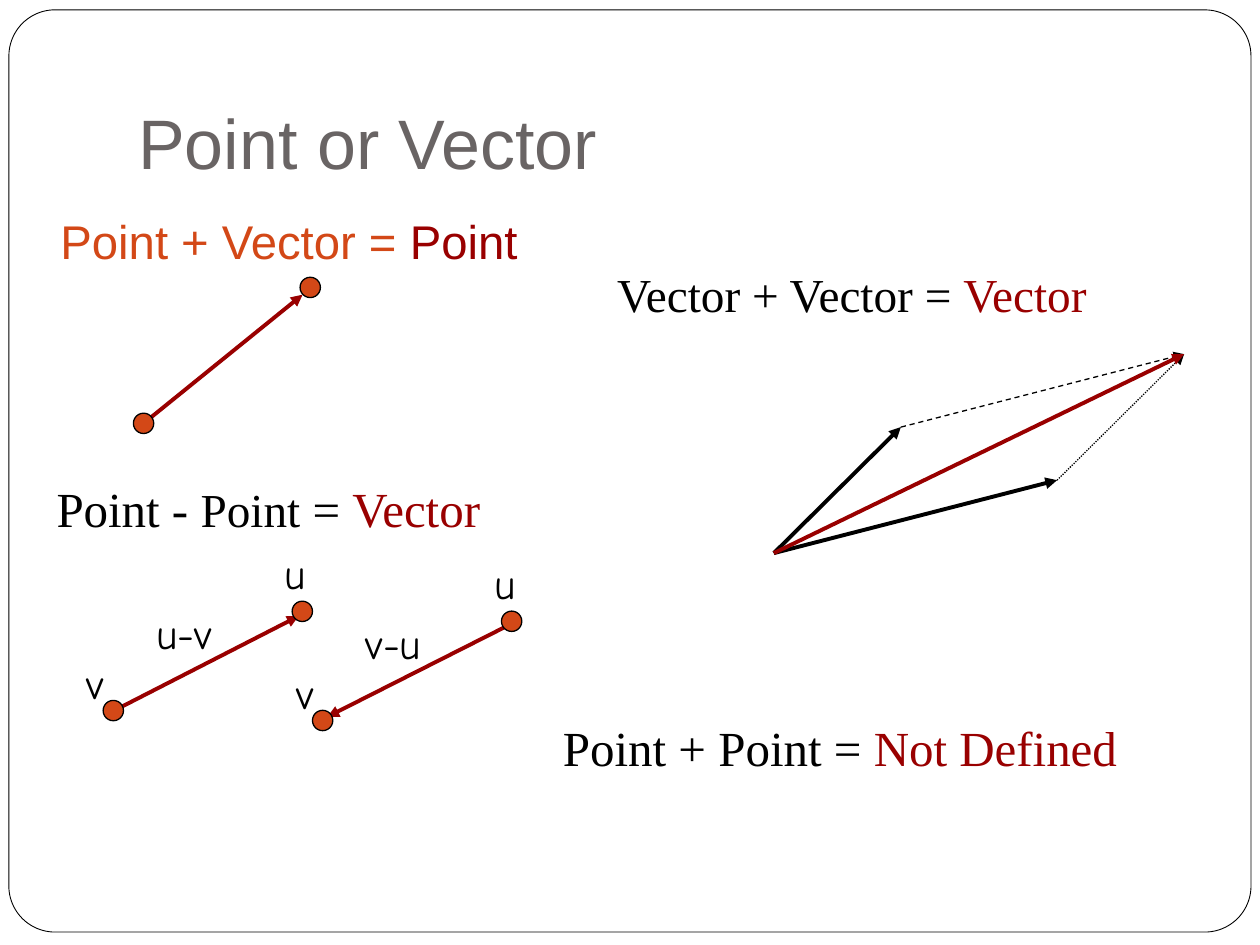
from dataclasses import dataclass
from typing import NamedTuple

from lxml.etree import SubElement
from pptx import Presentation
from pptx.dml.color import RGBColor
from pptx.enum.dml import MSO_LINE
from pptx.enum.shapes import MSO_CONNECTOR, MSO_SHAPE
from pptx.enum.text import MSO_ANCHOR, MSO_AUTO_SIZE
from pptx.oxml.ns import qn
from pptx.util import Cm, Pt


@dataclass(frozen=True)
class Theme:
    black: str = "000000"
    white: str = "FFFFFF"
    gray: str = "696464"
    orange: str = "D34817"
    red: str = "990000"
    sans: str = "Arial"
    serif: str = "Times New Roman"
    hand: str = "Comic Neue"
    title: float = 40
    rule: float = 27
    large: float = 28
    label: float = 24
    thick: float = 2.25
    thin: float = 0.75
    frame: float = 0.5


class Spot(NamedTuple):
    x: float
    y: float

    def shift(self, by: "Spot") -> "Spot":
        return Spot(self.x + by.x, self.y + by.y)


class Span(NamedTuple):
    text: str
    color: str
    size: float | None = None


class Text(NamedTuple):
    at: Spot
    width: float
    height: float
    font: str
    size: float
    spans: list[Span]
    before: float = 0
    hang: float = 0
    low: bool = False
    foot: float = 0.13
    wrap: bool = True


class Arrow(NamedTuple):
    start: Spot
    end: Spot
    color: str = Theme.red
    width: float = Theme.thick
    dash: MSO_LINE | None = None


class Pair(NamedTuple):
    move: Spot
    name: str
    arrow: Arrow


T = Theme()
DOT = 0.41


def add_shape(shapes, kind: MSO_SHAPE, at: Spot, wide: float, high: float,
              fill: str, line: float):
    shape = shapes.add_shape(kind, Cm(at.x), Cm(at.y), Cm(wide), Cm(high))
    shape.shadow.inherit = False
    shape.fill.solid()
    shape.fill.fore_color.rgb = RGBColor.from_string(fill)
    shape.line.color.rgb = RGBColor.from_string(T.black)
    shape.line.width = Pt(line)
    return shape


def add_dot(shapes, at: Spot) -> None:
    add_shape(shapes, MSO_SHAPE.OVAL, at, DOT, DOT, T.orange, T.thin)


def add_arrow(shapes, arrow: Arrow) -> None:
    a, b = arrow.start, arrow.end
    wire = shapes.add_connector(MSO_CONNECTOR.STRAIGHT,
                                Cm(a.x), Cm(a.y), Cm(b.x), Cm(b.y))
    wire.line.color.rgb = RGBColor.from_string(arrow.color)
    wire.line.width = Pt(arrow.width)
    if arrow.dash is not None:
        wire.line.dash_style = arrow.dash
    SubElement(wire.get_or_add_ln(), qn("a:tailEnd"), type="triangle")
    SubElement(wire.element.spPr, qn("a:effectLst"))


def add_text(shapes, text: Text) -> None:
    box = shapes.add_textbox(Cm(text.at.x), Cm(text.at.y),
                             Cm(text.width), Cm(text.height))
    frame = box.text_frame
    frame.word_wrap = text.wrap
    if not text.wrap:
        frame.auto_size = MSO_AUTO_SIZE.SHAPE_TO_FIT_TEXT
    frame.margin_bottom = Cm(text.foot)
    frame.vertical_anchor = MSO_ANCHOR.BOTTOM if text.low else MSO_ANCHOR.TOP
    para = frame.paragraphs[0]
    para.font.name = text.font
    para.font.size = Pt(text.size)
    if text.before:
        para.space_before = Pt(text.before)
    if text.hang:
        props = para._p.get_or_add_pPr()
        props.set("marL", str(Cm(text.hang)))
        props.set("indent", str(-Cm(text.hang)))
    for span in text.spans:
        run = para.add_run()
        run.text = span.text
        run.font.color.rgb = RGBColor.from_string(span.color)
        if span.size:
            run.font.size = Pt(span.size)


def add_label(shapes, word: str, at: Spot, width: float) -> None:
    add_text(shapes, Text(at, width, 1.27, T.hand, T.label,
                          [Span(word, T.black)], wrap=False))


def add_rule(shapes, at: Spot, width: float, size: float,
             *spans: Span) -> None:
    add_text(shapes, Text(at, width, 1.8, T.serif, size, list(spans),
                          before=size / 5, hang=1))


def add_pair(shapes, pair: Pair) -> None:
    add_arrow(shapes, pair.arrow)
    for dot in (Spot(2.08, 14.12), Spot(5.89, 12.12)):
        add_dot(shapes, dot.shift(pair.move))
    for word, at, width in (("v", Spot(1.5, 13.13), 0.91),
                            ("u", Spot(5.49, 10.92), 0.97),
                            (pair.name, Spot(2.9, 12.12), 1.73)):
        add_label(shapes, word, at.shift(pair.move), width)


def main() -> None:
    deck = Presentation()
    deck.slide_width, deck.slide_height = Cm(25.4), Cm(19.05)
    shapes = deck.slides.add_slide(deck.slide_layouts[6]).shapes

    # Frame and title
    frame = add_shape(shapes, MSO_SHAPE.ROUNDED_RECTANGLE, Spot(0.18, 0.2),
                      25.04, 18.59, T.white, T.frame)
    frame.adjustments[0] = 0.05
    add_text(shapes, Text(Spot(2.54, 0.76), 21.59, 3.18, T.sans, T.title,
                          [Span("Point or Vector", T.gray)],
                          low=True, foot=0.25))

    # Point plus vector
    add_text(shapes, Text(Spot(0.97, 3.78), 11.23, 1.78, T.sans, T.rule,
                          [Span("Point + Vector = ", T.orange),
                           Span("Point", T.red)], before=5.8, low=True))
    add_arrow(shapes, Arrow(Spot(2.9, 8.53), Spot(6.1, 5.94)))
    for dot in (Spot(2.69, 8.33), Spot(6.05, 5.59)):
        add_dot(shapes, dot)

    # Vector plus vector, as a parallelogram
    add_rule(shapes, Spot(12.19, 5.23), 13.21, T.rule,
             Span("Vector + Vector = ", T.black), Span("Vector", T.red))
    base, left, right = Spot(15.6, 11.15), Spot(18.16, 8.61), Spot(21.31, 9.68)
    total = left.shift(Spot(right.x - base.x, right.y - base.y))
    for arrow in (Arrow(base, left, T.black),
                  Arrow(base, right, T.black),
                  Arrow(left, total, T.black, T.thin, MSO_LINE.DASH),
                  Arrow(right, total, T.black, T.thin, MSO_LINE.ROUND_DOT),
                  Arrow(base, total)):
        add_arrow(shapes, arrow)

    # Point minus point, in both directions
    add_rule(shapes, Spot(0.89, 9.52), 13.21, T.large,
             Span("Point - ", T.black), Span("Point", T.black, T.rule),
             Span(" = ", T.black), Span("Vector", T.red))
    for pair in (Pair(Spot(0, 0), "u-v",
                      Arrow(Spot(2.29, 14.33), Spot(6.02, 12.42))),
                 Pair(Spot(4.22, 0.2), "v-u",
                      Arrow(Spot(10.16, 12.65), Spot(6.6, 14.45)))):
        add_pair(shapes, pair)

    # Point plus point
    add_rule(shapes, Spot(11.1, 14.33), 14.3, T.large,
             Span("Point + Point = ", T.black), Span("Not Defined", T.red))

    deck.save("out.pptx")


if __name__ == "__main__":
    main()
